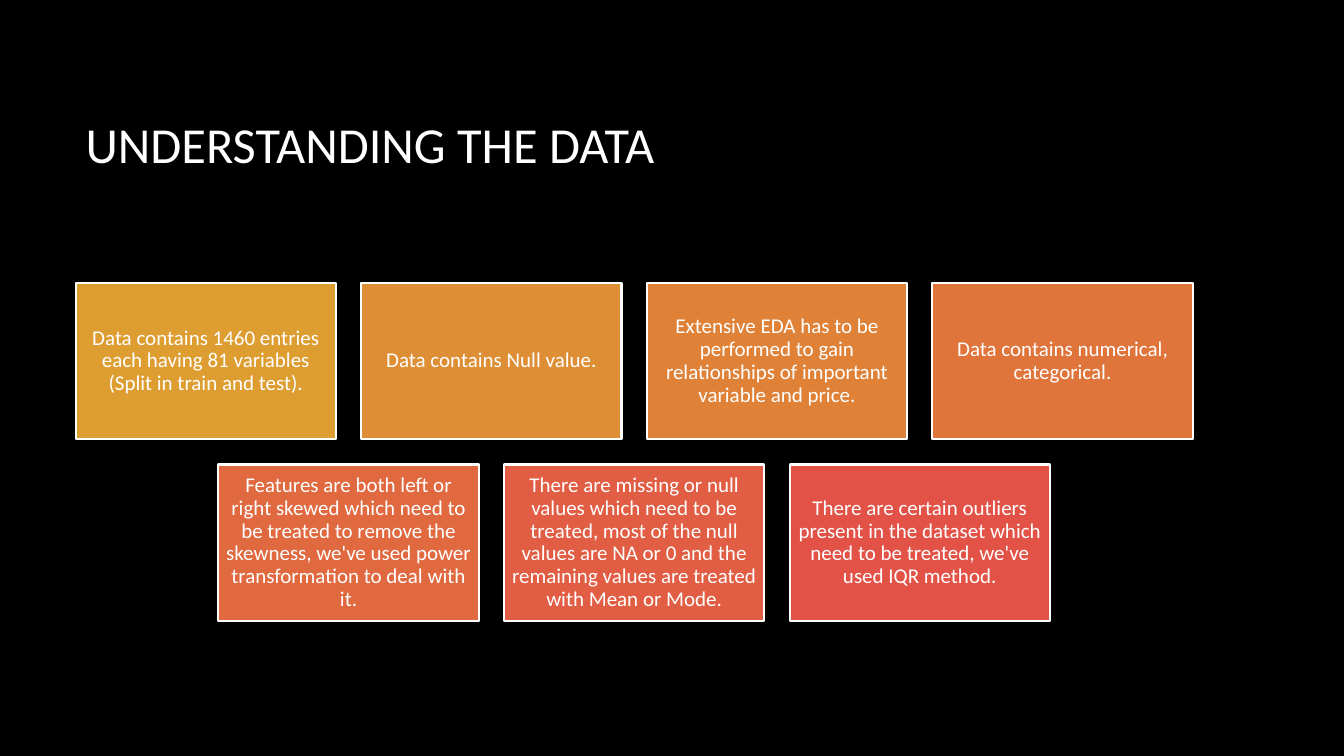
from dataclasses import dataclass

from pptx import Presentation
from pptx.dml.color import RGBColor
from pptx.enum.shapes import MSO_SHAPE
from pptx.enum.text import MSO_ANCHOR, PP_ALIGN
from pptx.util import Pt

RECTANGLE = MSO_SHAPE.RECTANGLE
MIDDLE = MSO_ANCHOR.MIDDLE
LEFT = PP_ALIGN.LEFT
CENTER = PP_ALIGN.CENTER
TITLE_ONLY_LAYOUT = 5


@dataclass(frozen=True)
class Theme:
    font: str = "Calibri"
    background: str = "000000"
    text: str = "FFFFFF"
    outline: str = "FFFFFF"
    title_size: float = 36
    card_size: float = 15
    outline_width: float = 1.5


@dataclass(frozen=True)
class Box:
    left: float
    top: float
    width: float
    height: float


THEME = Theme()
SLIDE_WIDTH, SLIDE_HEIGHT = 960, 540
TITLE_BOX = Box(54, 48.4, 798, 114.2)
CARDS_BOX = Box(54, 202.2, 798, 241.2)
CARD_GAP = 18
CARD_INSET = 4.5

TITLE = "UNDERSTANDING THE DATA"
CARD_ROWS = [
    [
        ("Data contains 1460 entries each having 81 variables (Split in train and test).", "DD9D31"),
        ("Data contains Null value.", "DE8F35"),
        ("Extensive EDA has to be performed to gain relationships of important variable and price.", "DF8238"),
        ("Data contains numerical, categorical.", "E0753C"),
    ],
    [
        ("Features are both left or right skewed which need to be treated to remove the skewness, "
         "we've used power transformation to deal with it.", "E06940"),
        ("There are missing or null values which need to be treated, most of the null values are "
         "NA or 0 and the remaining values are treated with Mean or Mode.", "E15D43"),
        ("There are certain outliers present in the dataset which need to be treated, "
         "we've used IQR method.", "E25247"),
    ],
]


def write_text(shape, text, size, alignment):
    text_frame = shape.text_frame
    text_frame.text = text
    text_frame.word_wrap = True
    text_frame.vertical_anchor = MIDDLE
    paragraph = text_frame.paragraphs[0]
    paragraph.alignment = alignment
    paragraph.line_spacing = 0.9
    font = paragraph.runs[0].font
    font.name = THEME.font
    font.size = Pt(size)
    font.color.rgb = RGBColor.from_string(THEME.text)


def add_title(slide, box):
    title = slide.shapes.title
    title.left, title.top = Pt(box.left), Pt(box.top)
    title.width, title.height = Pt(box.width), Pt(box.height)
    write_text(title, TITLE, THEME.title_size, LEFT)


def add_card(slide, box, text, color):
    card = slide.shapes.add_shape(
        RECTANGLE, Pt(box.left), Pt(box.top), Pt(box.width), Pt(box.height))
    card.shadow.inherit = False
    card.fill.solid()
    card.fill.fore_color.rgb = RGBColor.from_string(color)
    card.line.color.rgb = RGBColor.from_string(THEME.outline)
    card.line.width = Pt(THEME.outline_width)
    text_frame = card.text_frame
    text_frame.margin_left = text_frame.margin_right = Pt(CARD_INSET)
    text_frame.margin_top = text_frame.margin_bottom = Pt(CARD_INSET)
    write_text(card, text, THEME.card_size, CENTER)


def add_cards(slide, box):
    columns = max(len(row) for row in CARD_ROWS)
    width = (box.width + CARD_GAP) / columns - CARD_GAP
    height = (box.height + CARD_GAP) / len(CARD_ROWS) - CARD_GAP
    for row_index, row in enumerate(CARD_ROWS):
        indent = (columns - len(row)) * (width + CARD_GAP) / 2
        top = box.top + row_index * (height + CARD_GAP)
        for column, (text, color) in enumerate(row):
            left = box.left + indent + column * (width + CARD_GAP)
            add_card(slide, Box(left, top, width, height), text, color)


def main():
    presentation = Presentation()
    presentation.slide_width = Pt(SLIDE_WIDTH)
    presentation.slide_height = Pt(SLIDE_HEIGHT)
    slide = presentation.slides.add_slide(presentation.slide_layouts[TITLE_ONLY_LAYOUT])
    slide.background.fill.solid()
    slide.background.fill.fore_color.rgb = RGBColor.from_string(THEME.background)
    add_title(slide, TITLE_BOX)
    add_cards(slide, CARDS_BOX)
    presentation.save("out.pptx")


if __name__ == "__main__":
    main()
